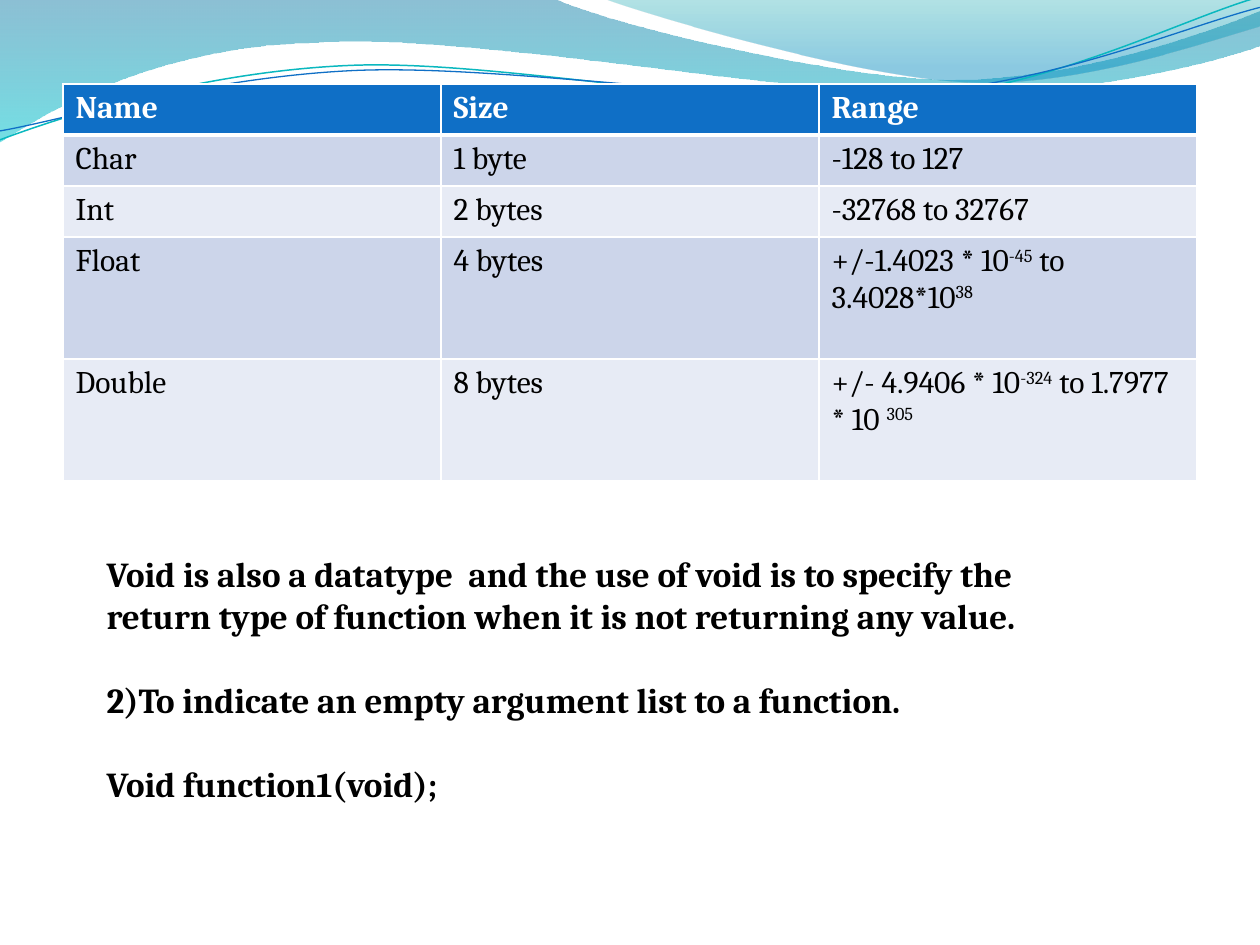
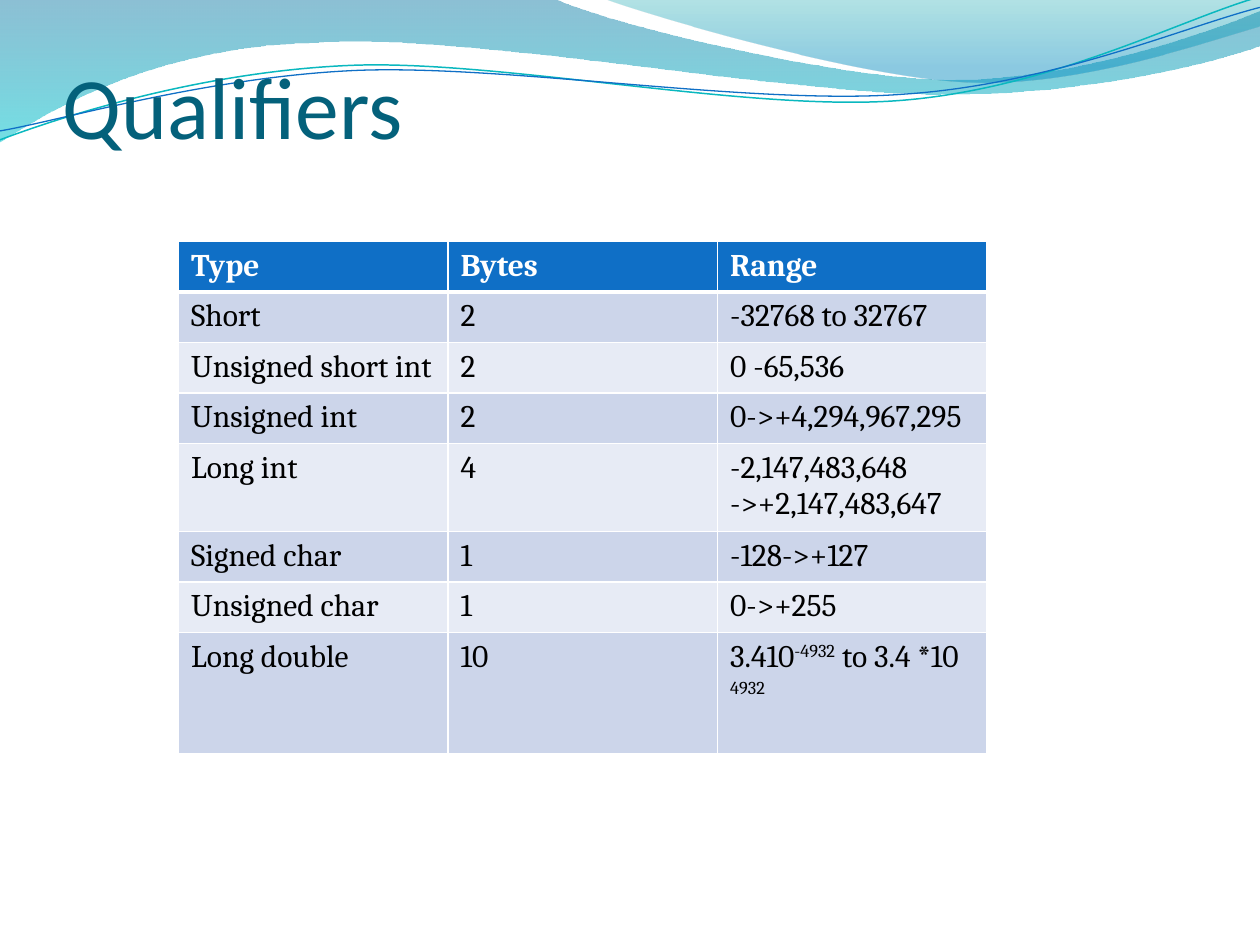
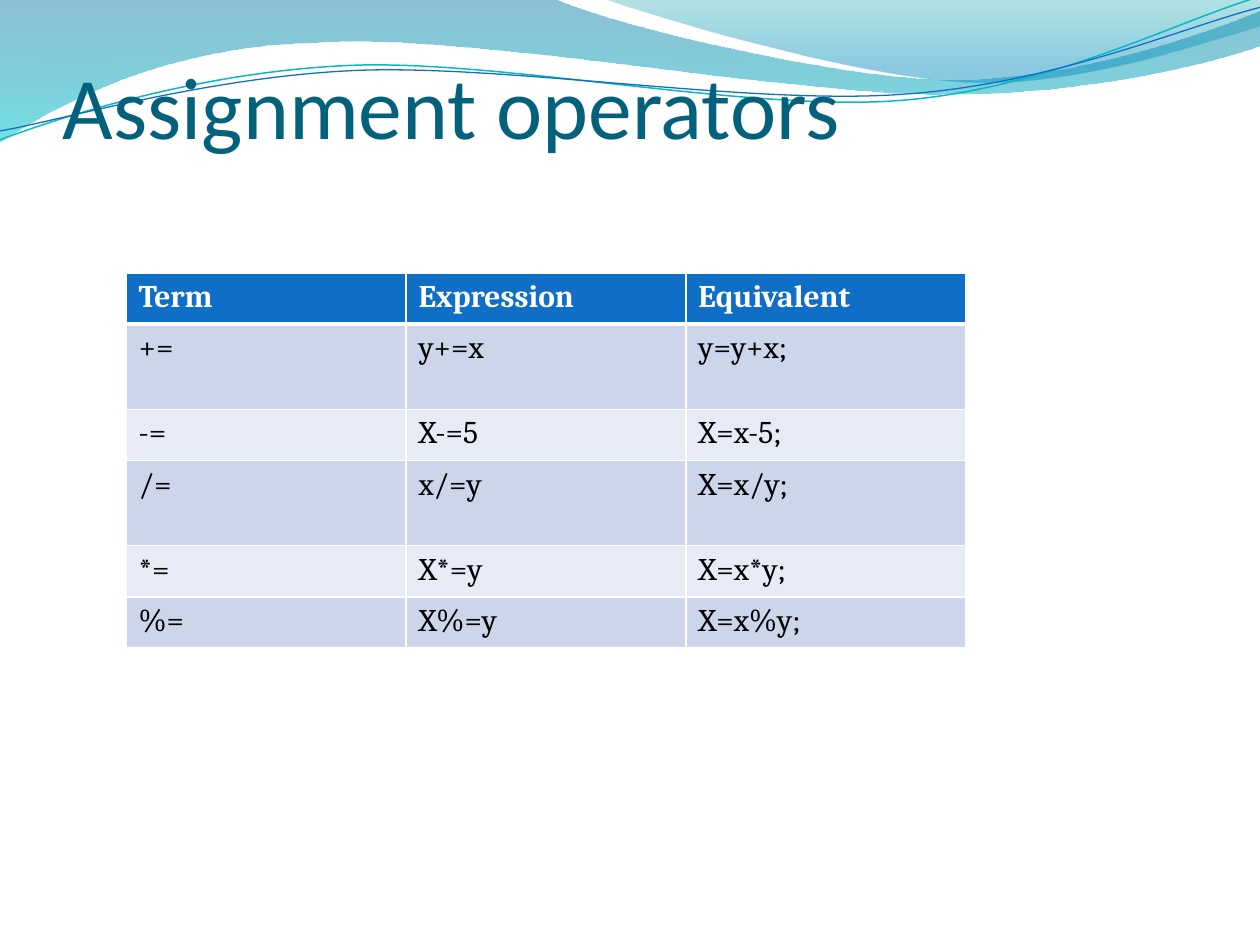
from dataclasses import dataclass

from lxml import etree
from pptx import Presentation
from pptx.dml.color import RGBColor
from pptx.enum.text import MSO_ANCHOR as Anchor
from pptx.oxml.ns import qn
from pptx.util import Cm, Pt

WHITE = RGBColor(0xFF, 0xFF, 0xFF)
BLACK = RGBColor(0x00, 0x00, 0x00)
BLUE = RGBColor(0x0F, 0x6F, 0xC6)
TEAL = RGBColor(0x0A, 0xB8, 0xBF)
TITLE_TEAL = RGBColor(0x04, 0x61, 0x7B)
ROW_DARK = RGBColor(0xCC, 0xD5, 0xEA)
ROW_LIGHT = RGBColor(0xE7, 0xEB, 0xF5)
WAVE_TOP = RGBColor(0x00, 0x74, 0xA1)
WAVE_BOTTOM = RGBColor(0x00, 0xC6, 0xCF)
CREST_TOP = RGBColor(0x00, 0xA1, 0xA9)
CREST_BOTTOM = RGBColor(0x00, 0x8B, 0xBF)

TITLE_FONT = "Calibri"
BODY_FONT = "Cambria"

WAVE = [(0, 0), (11.18, -0.02),
        (12.09, 0.43, 16.87, 1.6, 19.25, 1.6),
        (21.67, 1.6, 24.33, 0.66, 25.4, 0.23), (25.43, 0.91),
        (24.97, 1.12, 22.1, 1.93, 18.95, 1.9),
        (15.8, 1.9, 9.7, 0.71, 6.53, 0.86),
        (3.28, 0.91, 1.17, 2.11, -0.02, 2.87)]
CREST = [(12.17, -0.02),
         (12.93, 0.28, 17.32, 1.57, 19.53, 1.65),
         (21.74, 1.75, 24.41, 0.81, 25.4, 0.53), (25.4, 0)]
TEAL_STRAND = [(0, 2.82),
               (1.22, 2.36, 4.01, 1.45, 7.04, 1.32),
               (10.03, 1.19, 15.06, 2.26, 18.11, 2.03),
               (21.16, 1.8, 23.83, 0.38, 25.35, -0.05)]
BLUE_STRAND = [(0, 2.64),
               (1.19, 2.44, 4.17, 1.55, 7.19, 1.42),
               (10.24, 1.3, 15.16, 2.13, 18.21, 1.9),
               (21.23, 1.7, 23.9, 0.53, 25.4, 0.15)]

DATA_TYPES = [
    ("Name", "Size", "Range"),
    ("Char", "1 byte", "-128 to 127"),
    ("Int", "2 bytes", "-32768 to 32767"),
    ("Float", "4 bytes", "+/-1.4023 * 10^-45^ to 3.4028*10^38"),
    ("Double", "8 bytes", "+/- 4.9406 * 10^-324^ to 1.7977 * 10 ^305"),
]
QUALIFIERS = [
    ("Type", "Bytes", "Range"),
    ("Short", "2", "-32768 to 32767"),
    ("Unsigned short int", "2", "0 -65,536"),
    ("Unsigned int", "2", "0->+4,294,967,295"),
    ("Long int", "4", "-2,147,483,648 ->+2,147,483,647"),
    ("Signed char", "1", "-128->+127"),
    ("Unsigned char", "1", "0->+255"),
    ("Long double", "10", "3.410^-4932^ to 3.4 *10 ^4932"),
]
ASSIGNMENTS = [
    ("Term", "Expression", "Equivalent"),
    ("+=", "y+=x", "y=y+x;"),
    ("-=", "X-=5", "X=x-5;"),
    ("/=", "x/=y", "X=x/y;"),
    ("*=", "X*=y", "X=x*y;"),
    ("%=", "X%=y", "X=x%y;"),
]
VOID_NOTES = [
    "Void is also a datatype  and the use of void is to specify the "
    "return type of function when it is not returning any value.",
    "2)To indicate an empty argument list to a function.",
    "Void function1(void);",
]


@dataclass
class Box:
    left: float
    top: float
    width: float
    height: float

    def lengths(self):
        return Cm(self.left), Cm(self.top), Cm(self.width), Cm(self.height)


HEADER_BOX = Box(0, 0, 25.4, 2.87)
HIGH_TITLE_BOX = Box(1.27, 0, 22.86, 3.16)
LOW_TITLE_BOX = Box(1.27, 0.64, 22.86, 2.52)


def style_font(font, name, size, color, bold=False):
    font.name = name
    font.size = Pt(size)
    font.color.rgb = color
    font.bold = bold


def bend_segments(shape, box, segments):
    lines = list(shape._element.spPr.iter(qn("a:lnTo")))
    for line, segment in zip(lines, segments[1:]):
        if len(segment) == 2:
            continue
        curve = etree.Element(qn("a:cubicBezTo"))
        for x, y in zip(segment[::2], segment[1::2]):
            etree.SubElement(curve, qn("a:pt"),
                             x=str(Cm(box.left + x) - shape.left),
                             y=str(Cm(box.top + y) - shape.top))
        line.getparent().replace(line, curve)


def add_outline(slide, box, segments, close):
    knots = [(Cm(box.left + segment[-2]), Cm(box.top + segment[-1]))
             for segment in segments]
    builder = slide.shapes.build_freeform(*knots[0])
    builder.add_line_segments(knots[1:], close=close)
    shape = builder.convert_to_shape()
    bend_segments(shape, box, segments)
    shape.shadow.inherit = False
    return shape


def add_gradient_area(slide, box, segments, stops):
    shape = add_outline(slide, box, segments, close=True)
    shape.line.fill.background()
    shape.fill.gradient()
    shape.fill.gradient_angle = 270
    for stop, (position, color, opacity) in zip(shape.fill.gradient_stops, stops):
        stop.position = position
        stop.color.rgb = color
    colors = shape._element.spPr.iter(qn("a:srgbClr"))
    for element, (position, color, opacity) in zip(colors, stops):
        etree.SubElement(element, qn("a:alpha"), val=str(opacity * 1000))


def add_strand(slide, box, segments, color, width):
    shape = add_outline(slide, box, segments, close=False)
    shape.fill.background()
    shape.line.color.rgb = color
    shape.line.width = Pt(width)


def add_wave_header(slide, box):
    add_gradient_area(slide, box, WAVE,
                      [(0, WAVE_TOP, 45), (1, WAVE_BOTTOM, 55)])
    add_gradient_area(slide, box, CREST,
                      [(0, CREST_TOP, 30), (0.8, CREST_BOTTOM, 45)])
    add_strand(slide, box, TEAL_STRAND, TEAL, 0.85)
    add_strand(slide, box, BLUE_STRAND, BLUE, 0.75)


def share_on_layout(slide):
    layout_tree = slide.slide_layout.shapes.element
    for shape in list(slide.shapes):
        layout_tree.append(shape.element)


def add_title(slide, box, text):
    frame = slide.shapes.add_textbox(*box.lengths()).text_frame
    frame.word_wrap = True
    frame.vertical_anchor = Anchor.BOTTOM
    frame.margin_left = frame.margin_right = frame.margin_bottom = 0
    paragraph = frame.paragraphs[0]
    paragraph.text = text
    style_font(paragraph.font, TITLE_FONT, 50, TITLE_TEAL)


def add_notes(slide, box, texts):
    frame = slide.shapes.add_textbox(*box.lengths()).text_frame
    frame.word_wrap = True
    for index, text in enumerate(texts):
        paragraph = frame.add_paragraph() if index else frame.paragraphs[0]
        paragraph.text = text
        paragraph.space_before = Pt(24 if index else 0)
        style_font(paragraph.font, BODY_FONT, 20, BLACK, bold=True)


def set_borders(cell, top, bottom):
    properties = cell._tc.get_or_add_tcPr()
    for side, width in (("L", 1), ("R", 1), ("T", top), ("B", bottom)):
        line = etree.SubElement(properties, qn(f"a:ln{side}"), w=str(Pt(width)))
        fill = etree.SubElement(line, qn("a:solidFill"))
        etree.SubElement(fill, qn("a:srgbClr"), val=str(WHITE))


def fill_cell(cell, text, row):
    header = row == 0
    set_borders(cell, top=3 if row == 1 else 1, bottom=3 if header else 1)
    cell.fill.solid()
    cell.fill.fore_color.rgb = BLUE if header else (ROW_LIGHT, ROW_DARK)[row % 2]
    paragraph = cell.text_frame.paragraphs[0]
    for index, part in enumerate(text.split("^")):
        run = paragraph.add_run()
        run.text = part
        style_font(run.font, BODY_FONT, 18, WHITE if header else BLACK, header)
        if index % 2:
            run.font._element.set("baseline", "30000")


def add_grid(slide, left, top, width, rows, row_height, tall_rows):
    heights = [tall_rows.get(row, row_height) for row in range(len(rows))]
    box = Box(left, top, width, sum(heights))
    table = slide.shapes.add_table(len(rows), len(rows[0]), *box.lengths()).table
    for column in table.columns:
        column.width = Cm(width / len(rows[0]))
    for row, texts in enumerate(rows):
        table.rows[row].height = Cm(heights[row])
        for column, text in enumerate(texts):
            fill_cell(table.cell(row, column), text, row)


def main():
    presentation = Presentation()
    presentation.slide_width = Cm(25.4)
    presentation.slide_height = Cm(19.05)
    blank = presentation.slide_layouts[6]
    types_slide, qualifiers_slide, operators_slide = (
        presentation.slides.add_slide(blank) for _ in range(3))

    add_wave_header(types_slide, HEADER_BOX)
    share_on_layout(types_slide)

    add_grid(types_slide, 1.27, 1.69, 22.86, DATA_TYPES, 1.03, {3: 2.46, 4: 2.46})
    add_notes(types_slide, Box(1.9, 11.01, 20.96, 5.38), VOID_NOTES)

    add_title(qualifiers_slide, HIGH_TITLE_BOX, "Qualifiers")
    add_grid(qualifiers_slide, 3.6, 4.87, 16.3, QUALIFIERS, 1, {4: 1.74, 7: 2.44})

    add_title(operators_slide, LOW_TITLE_BOX, "Assignment operators")
    add_grid(operators_slide, 2.54, 5.5, 16.93, ASSIGNMENTS, 1.03, {1: 1.72, 3: 1.72})

    presentation.save("out.pptx")


if __name__ == "__main__":
    main()
